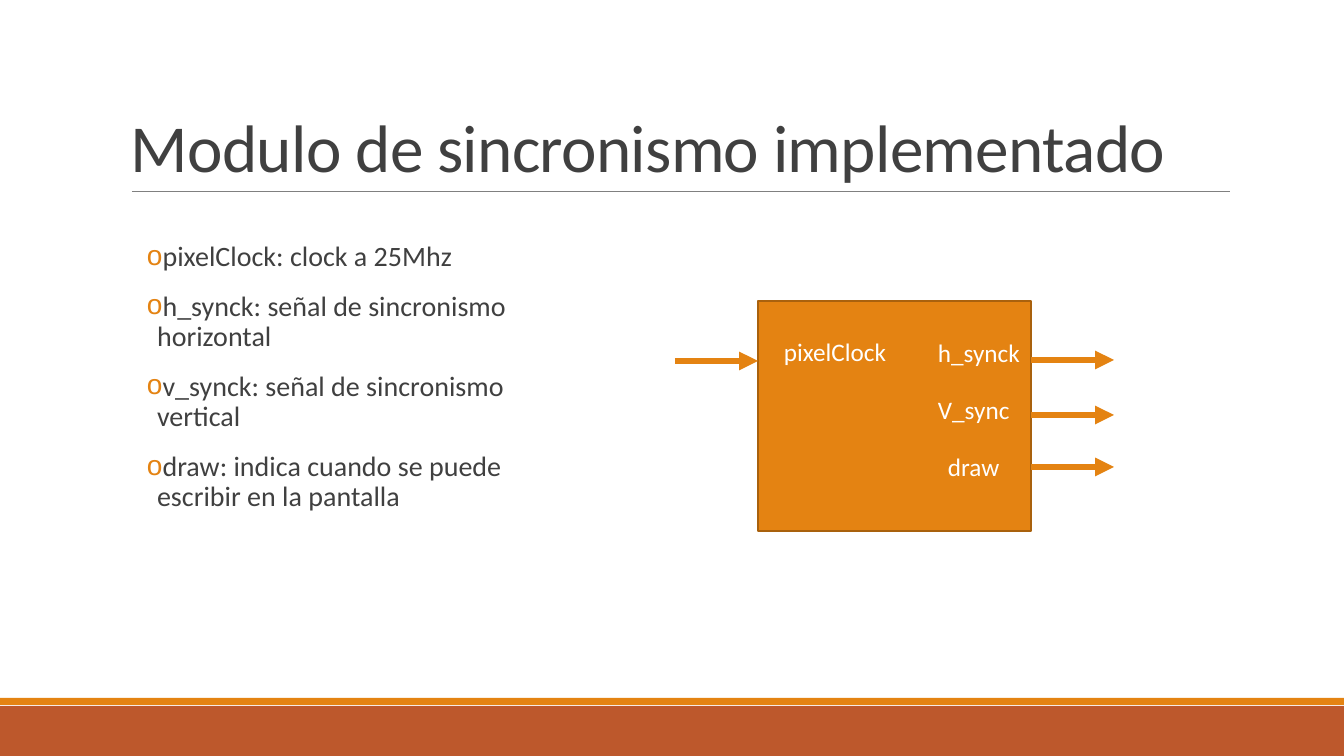
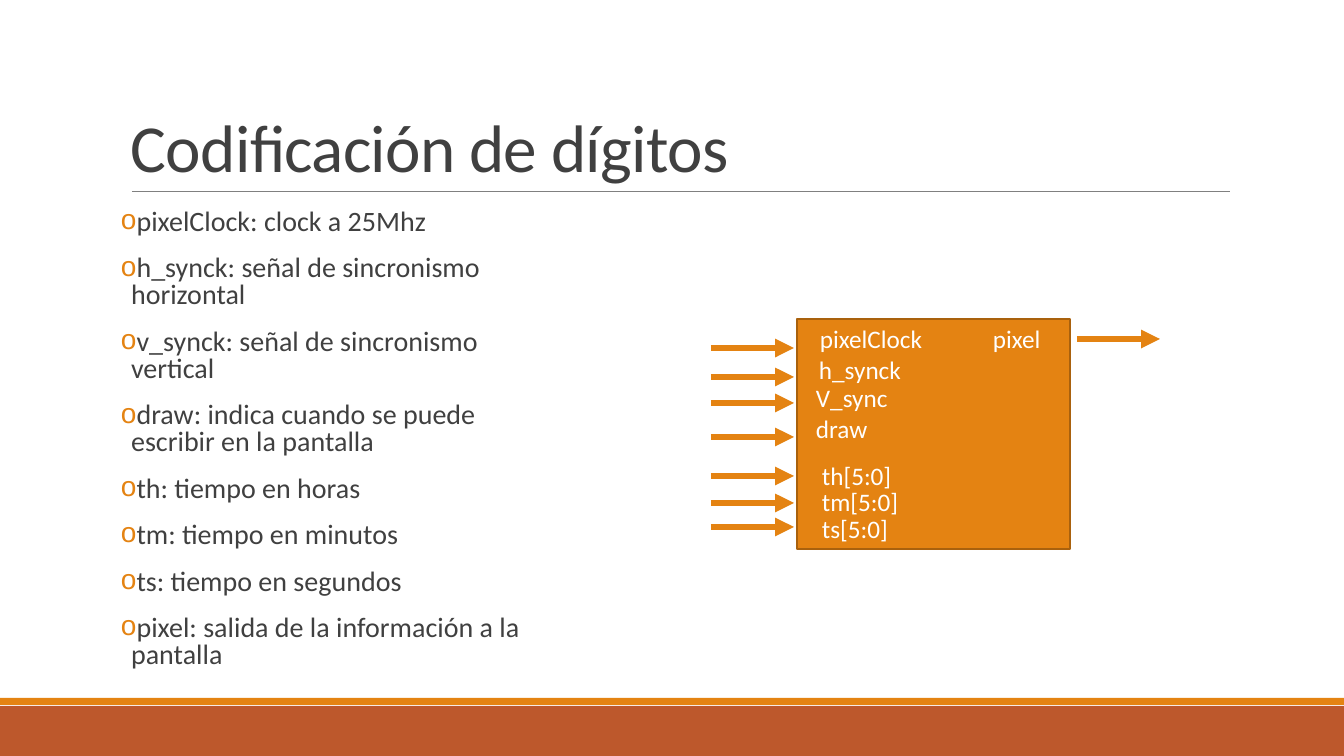
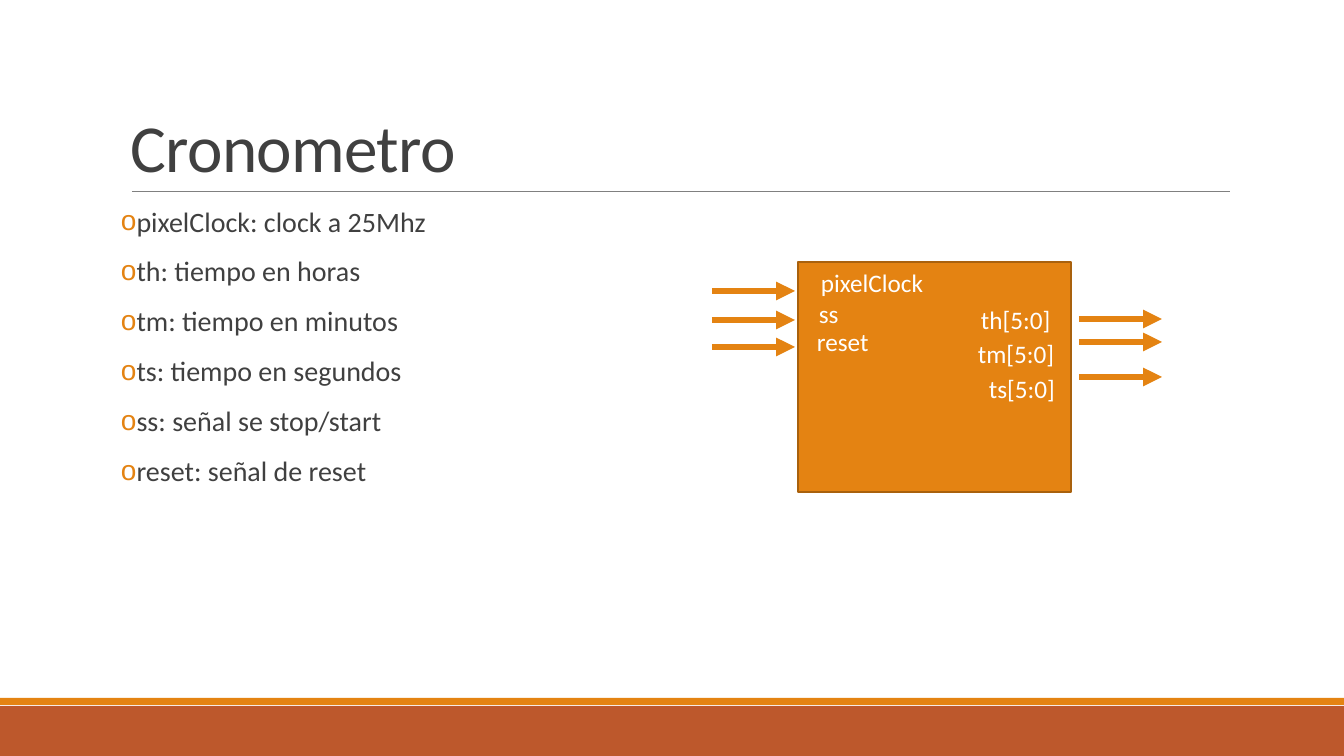
from lxml import etree
from pptx import Presentation
from pptx import util as u
from pptx.dml.color import RGBColor
from pptx.enum import shapes, text
from pptx.oxml.ns import qn

PX = 12192000 / 1344
WIDTH, HEIGHT = 1344, 756
FONT, BULLET_FONT = "Calibri", "Arial"
ORANGE, RUST, BROWN = "E48312", "BD582C", "A9610D"
GREY, DARK, WHITE = "808080", "404040", "FFFFFF"
BLOCK_WIDTH, BLOCK_HEIGHT = 273, 230
ARROW_LENGTH = 83
LABEL_HEIGHT = 40
LABEL_WIDTHS = {
    "pixelClock": 124, "h_synck": 103, "V_sync": 93, "draw": 73, "pixel": 69,
    "th[5:0]": 91, "tm[5:0]": 98, "ts[5:0]": 87, "ss": 40, "reset": 73,
}

CLOCK = "pixelClock: clock a 25Mhz"
SYNC = [
    CLOCK,
    "h_synck: señal de sincronismo horizontal",
    "v_synck: señal de sincronismo vertical",
    "draw: indica cuando se puede escribir en la pantalla",
]
TIMES = ["th: tiempo en horas", "tm: tiempo en minutos", "ts: tiempo en segundos"]

# Each signal is (label, label left, label top, arrow height).
SLIDES = [
    dict(
        title="Modulo de sincronismo implementado",
        bullets=SYNC, area=(147, 237, 380, 346), spacing=0.9,
        block=(758, 301), gaps=(0, 0),
        inputs=[("pixelClock", 774, 331, 361)],
        outputs=[("h_synck", 928, 332, 360), ("V_sync", 928, 389, 415),
                 ("draw", 938, 446, 467)],
    ),
    dict(
        title="Codificación de dígitos",
        bullets=SYNC + TIMES + ["pixel: salida de la información a la pantalla"],
        area=(121, 205, 401, 507), spacing=0.8,
        block=(797, 319), gaps=(3, 7),
        inputs=[("pixelClock", 810, 318, 348), ("h_synck", 809, 349, 377),
                ("V_sync", 806, 377, 403), ("draw", 806, 408, 437),
                ("th[5:0]", 812, 455, 476), ("tm[5:0]", 812, 481, 503),
                ("ts[5:0]", 812, 508, 527)],
        outputs=[("pixel", 983, 318, 339)],
    ),
    dict(
        title="Cronometro",
        bullets=[CLOCK] + TIMES + ["ss: señal se stop/start", "reset: señal de reset"],
        area=(121, 203, 516, 444), spacing=0.9,
        block=(798, 262), gaps=(3, 8),
        inputs=[("pixelClock", 811, 262, 291), ("ss", 809, 293, 320),
                ("reset", 807, 321, 347)],
        outputs=[("th[5:0]", 971, 299, 319), ("tm[5:0]", 968, 333, 342),
                 ("ts[5:0]", 979, 368, 377)],
    ),
]


def px(*lengths):
    return [u.Emu(round(length * PX)) for length in lengths]


def color(value):
    return RGBColor.from_string(value)


class Deck:
    def __init__(self):
        self.deck = Presentation()
        self.deck.slide_width, self.deck.slide_height = px(WIDTH, HEIGHT)
        self.page = None

    def new_page(self, title):
        """Start a slide with the shared bands, title and rule."""
        self.page = self.deck.slides.add_slide(self.deck.slide_layouts[6])
        self.rect(0, 706, WIDTH, 50, RUST)
        self.rect(0, 698, WIDTH, 7, ORANGE)
        self.line(132, 191, 1230, 191, GREY, 0.5)
        frame = self.text_box((121, 31, 1109, 160), [title], 48, DARK)
        frame.vertical_anchor = text.MSO_ANCHOR.BOTTOM
        para = frame.paragraphs[0]
        para.line_spacing = 0.85
        para.runs[0].font._element.set("spc", "-50")

    def rect(self, left, top, width, height, fill, outline=None):
        box = self.page.shapes.add_shape(
            shapes.MSO_SHAPE.RECTANGLE, *px(left, top, width, height))
        box.shadow.inherit = False
        box.fill.solid()
        box.fill.fore_color.rgb = color(fill)
        if outline:
            box.line.color.rgb = color(outline)
            box.line.width = u.Pt(1.25)
        else:
            box.line.fill.background()

    def line(self, x1, y1, x2, y2, stroke, width):
        line = self.page.shapes.add_connector(
            shapes.MSO_CONNECTOR.STRAIGHT, *px(x1, y1, x2, y2))
        line.line.color.rgb = color(stroke)
        line.line.width = u.Pt(width)
        etree.SubElement(line._element.spPr, qn("a:effectLst"))
        return line

    def arrow(self, left, y):
        line = self.line(left, y, left + ARROW_LENGTH, y, ORANGE, 4.5)
        etree.SubElement(line.line._get_or_add_ln(), qn("a:tailEnd"), type="triangle")

    def text_box(self, area, lines, size, ink):
        frame = self.page.shapes.add_textbox(*px(*area)).text_frame
        frame.word_wrap = True
        frame.text = "\n".join(lines)
        for para in frame.paragraphs:
            for span in para.runs:
                span.font.name = FONT
                span.font.size = u.Pt(size)
                span.font.color.rgb = color(ink)
        return frame

    def bullets(self, area, lines, spacing):
        frame = self.text_box(area, lines, 20, DARK)
        frame.margin_left = frame.margin_right = 0
        for para in frame.paragraphs:
            para.line_spacing = spacing
            para.space_before, para.space_after = u.Pt(12), u.Pt(2)
            props = para._p.get_or_add_pPr()
            props.set("marL", str(u.Inches(0.1)))
            props.set("indent", str(-u.Inches(0.1)))
            tint = etree.SubElement(props, qn("a:buClr"))
            etree.SubElement(tint, qn("a:srgbClr"), val=ORANGE)
            etree.SubElement(props, qn("a:buFont"), typeface=BULLET_FONT)
            etree.SubElement(props, qn("a:buChar"), char="o")

    def label(self, name, left, top):
        area = (left, top, LABEL_WIDTHS[name], LABEL_HEIGHT)
        frame = self.text_box(area, [name], 18, WHITE)
        frame.word_wrap = False
        frame.auto_size = text.MSO_AUTO_SIZE.SHAPE_TO_FIT_TEXT

    def module(self, block, gaps, inputs, outputs):
        """Draw a block with its labelled signals going in and out."""
        left, top = block
        self.rect(left, top, BLOCK_WIDTH, BLOCK_HEIGHT, ORANGE, BROWN)
        sides = [(left - gaps[0] - ARROW_LENGTH, inputs),
                 (left + BLOCK_WIDTH + gaps[1], outputs)]
        for start, signals in sides:
            for name, label_left, label_top, arrow_y in signals:
                self.label(name, label_left, label_top)
                self.arrow(start, arrow_y)


def main():
    deck = Deck()
    for item in SLIDES:
        deck.new_page(item["title"])
        deck.bullets(item["area"], item["bullets"], item["spacing"])
        deck.module(item["block"], item["gaps"], item["inputs"], item["outputs"])
    deck.deck.save("out.pptx")


if __name__ == "__main__":
    main()
